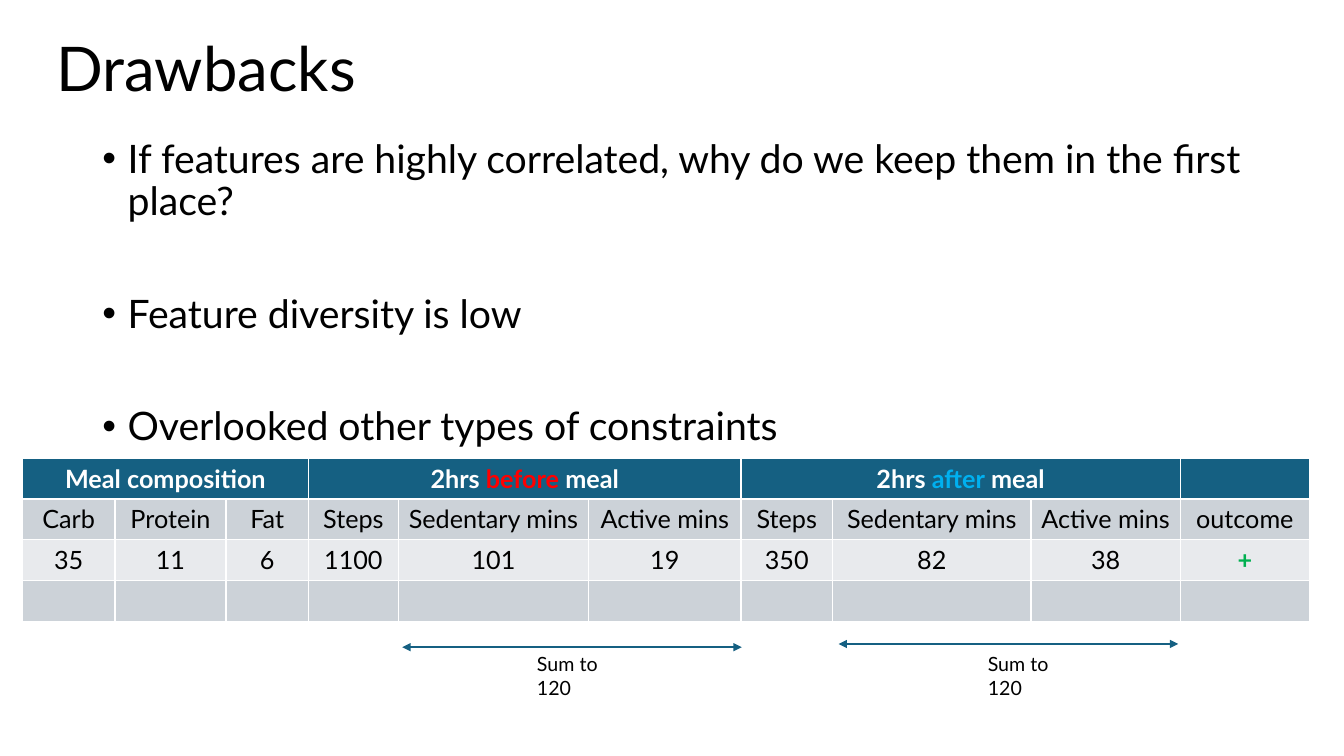
from lxml.etree import SubElement
from pptx import Presentation
from pptx.dml.color import RGBColor
from pptx.enum.shapes import MSO_CONNECTOR
from pptx.enum.text import MSO_ANCHOR, MSO_AUTO_SIZE, PP_ALIGN
from pptx.oxml.ns import qn
from pptx.util import Pt

FONT = "Lato"
BLACK, WHITE, TEAL = "000000", "FFFFFF", "156082"
RED, BLUE, GREEN = "FF0000", "00B0F0", "00B050"
ROW_FILLS = [TEAL, "CCD2D8", "E8EAED", "CCD2D8"]

BULLETS = [
    "If features are highly correlated, why do we keep them in the first place?",
    "Feature diversity is low",
    "Overlooked other types of constraints",
]
COLUMN_WIDTHS = [66.2, 79.2, 59, 64.1, 136.1, 108.7, 65.5, 141.8, 106.6, 92.2]
ROW_HEIGHT = 29.2
# Each heading spans three columns and is a list of (text, colour) parts
GROUP_HEADINGS = [
    [("Meal composition", WHITE)],
    [("2hrs ", WHITE), ("before", RED), (" meal", WHITE)],
    [("2hrs ", WHITE), ("after", BLUE), (" meal", WHITE)],
]
ACTIVITY = ["Steps", "Sedentary mins", "Active mins"]
TABLE_ROWS = [
    ["Carb", "Protein", "Fat", *ACTIVITY, *ACTIVITY, "outcome"],
    ["35", "11", "6", "1100", "101", "19", "350", "82", "38", "+"],
]


def colour(hex_string):
    return RGBColor.from_string(hex_string)


def add_text(paragraph, text, size=18, color=BLACK, bold=False, align=PP_ALIGN.LEFT):
    paragraph.alignment = align
    run = paragraph.add_run()
    run.text = text
    font = run.font
    font.name, font.size, font.bold = FONT, Pt(size), bold
    font.color.rgb = colour(color)


def place(shape, left, top, width, height):
    shape.left, shape.top = Pt(left), Pt(top)
    shape.width, shape.height = Pt(width), Pt(height)


def set_bullet(paragraph, indent):
    properties = paragraph._p.get_or_add_pPr()
    properties.set("marL", str(Pt(indent)))
    properties.set("indent", str(-Pt(indent)))
    SubElement(properties, qn("a:buFont"), typeface="Arial")
    SubElement(properties, qn("a:buChar"), char="•")


def fill_title(shape, text):
    place(shape, 33, 21, 896.5, 60.5)
    frame = shape.text_frame
    frame.auto_size = MSO_AUTO_SIZE.NONE
    frame.vertical_anchor = MSO_ANCHOR.MIDDLE
    frame.paragraphs[0].line_spacing = 0.9
    add_text(frame.paragraphs[0], text, size=44)


def fill_bullets(shape, items):
    place(shape, 66, 96, 828, 390)
    frame = shape.text_frame
    frame.auto_size = MSO_AUTO_SIZE.NONE
    for index, item in enumerate(items):
        paragraph = frame.add_paragraph() if index else frame.paragraphs[0]
        set_bullet(paragraph, 18)
        paragraph.line_spacing = 0.9
        paragraph.space_before = Pt(50.2 if index else 0)
        add_text(paragraph, item, size=28)


def add_meal_table(slide):
    table = slide.shapes.add_table(
        len(ROW_FILLS), len(COLUMN_WIDTHS), Pt(16), Pt(327.2),
        Pt(sum(COLUMN_WIDTHS)), Pt(ROW_HEIGHT * len(ROW_FILLS))).table
    for column, width in zip(table.columns, COLUMN_WIDTHS):
        column.width = Pt(width)
    for row, fill in zip(table.rows, ROW_FILLS):
        row.height = Pt(ROW_HEIGHT)
        for cell in row.cells:
            cell.fill.solid()
            cell.fill.fore_color.rgb = colour(fill)

    # Group headings
    for index, parts in enumerate(GROUP_HEADINGS):
        first = table.cell(0, 3 * index)
        first.merge(table.cell(0, 3 * index + 2))
        for text, color in parts:
            add_text(first.text_frame.paragraphs[0], text, color=color,
                     bold=True, align=PP_ALIGN.CENTER)

    # Column names and values
    for row_index, values in enumerate(TABLE_ROWS, start=1):
        for column_index, value in enumerate(values):
            positive = value == "+"
            paragraph = table.cell(row_index, column_index).text_frame.paragraphs[0]
            add_text(paragraph, value, color=GREEN if positive else BLACK,
                     bold=positive, align=PP_ALIGN.CENTER)


def add_label(slide, text, left, top):
    box = slide.shapes.add_textbox(Pt(left), Pt(top), Pt(83.5), Pt(24.5))
    box.text_frame.word_wrap = True
    add_text(box.text_frame.paragraphs[0], text, size=14)


def add_double_arrow(slide, left, top, length):
    arrow = slide.shapes.add_connector(
        MSO_CONNECTOR.STRAIGHT, Pt(left), Pt(top), Pt(left + length), Pt(top))
    arrow.line.color.rgb = colour(TEAL)
    arrow.line.width = Pt(1.5)
    line = arrow.line._get_or_add_ln()
    for end in ("a:headEnd", "a:tailEnd"):
        SubElement(line, qn(end), type="triangle")
    SubElement(arrow._element.spPr, qn("a:effectLst"))


def main():
    presentation = Presentation()
    presentation.slide_width, presentation.slide_height = Pt(960), Pt(540)
    slide = presentation.slides.add_slide(presentation.slide_layouts[1])

    # Title and list
    fill_title(slide.shapes.title, "Drawbacks")
    fill_bullets(slide.placeholders[1], BULLETS)

    # Table with the constraints marked below it
    add_meal_table(slide)
    for label_left in (376.5, 698.5):
        add_label(slide, "Sum to 120", label_left, 462.3)
    for arrow_left, arrow_top in ((287.3, 462.3), (599, 460)):
        add_double_arrow(slide, arrow_left, arrow_top, 242.6)

    presentation.save("out.pptx")


if __name__ == "__main__":
    main()
